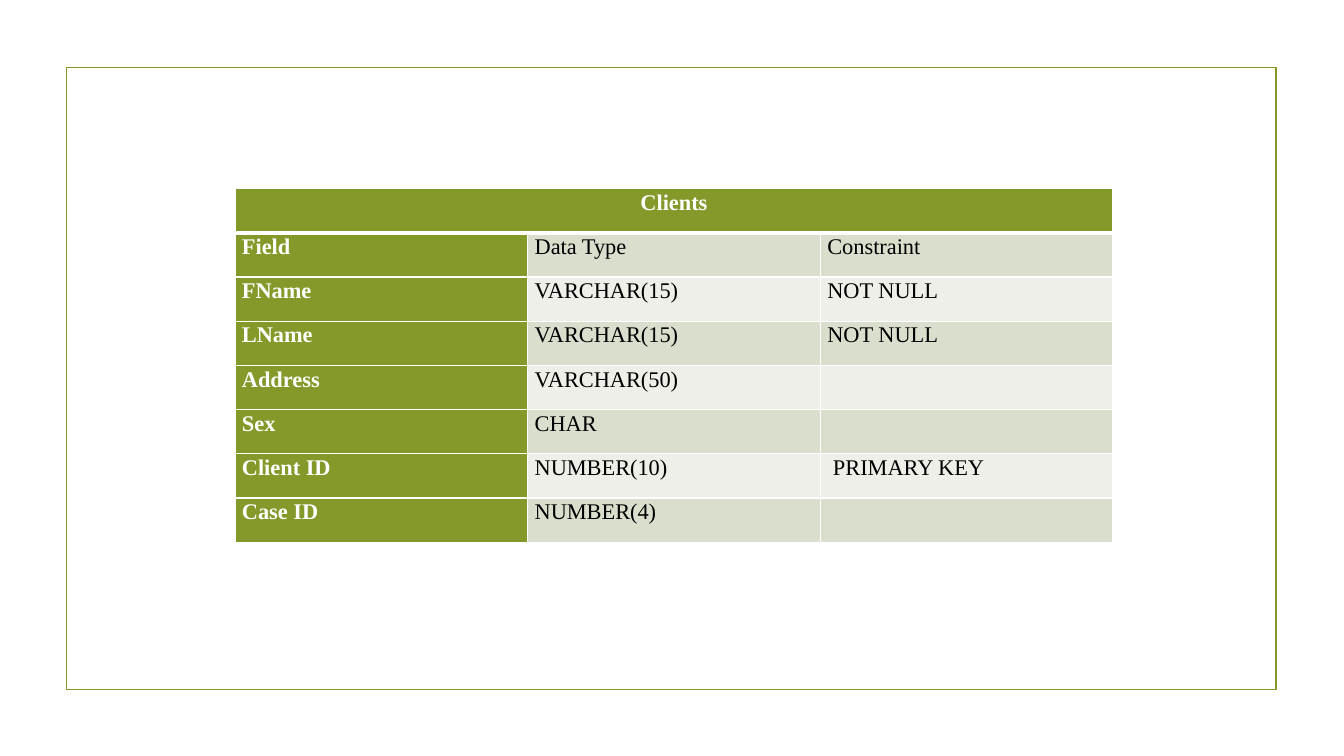
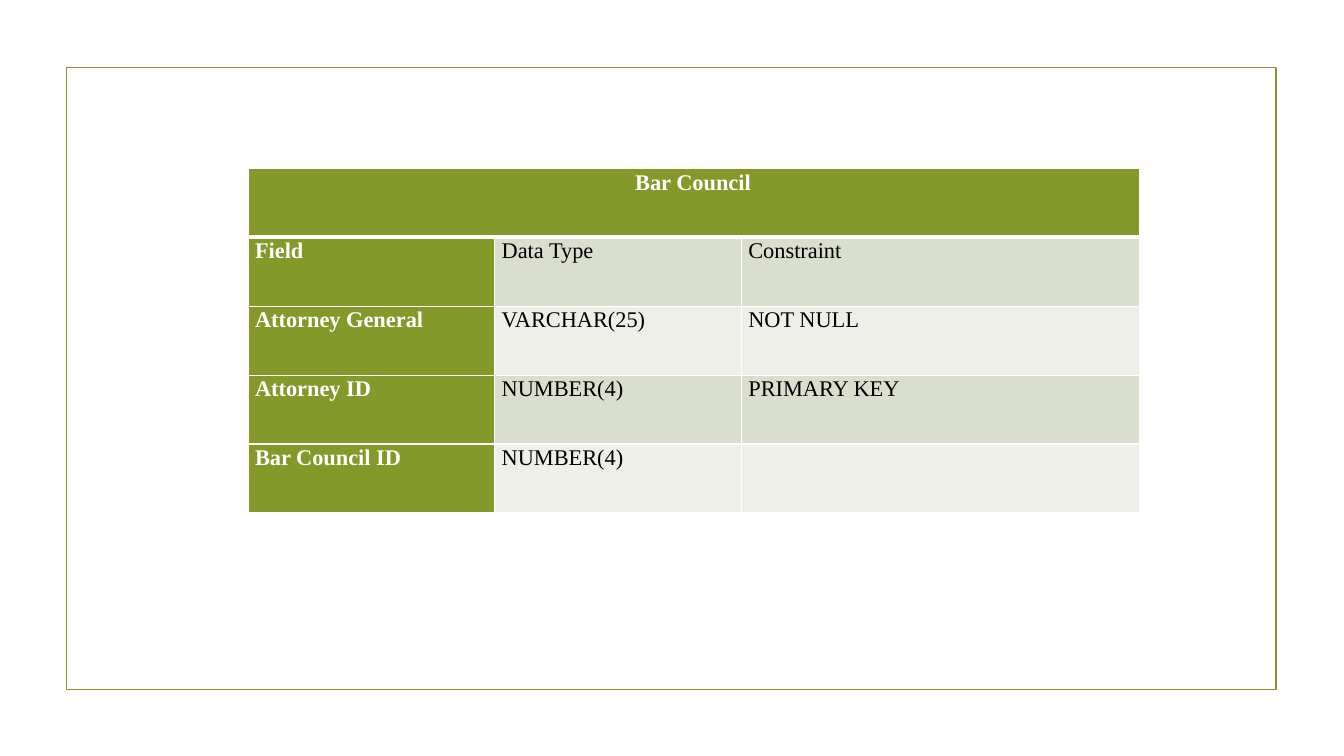
from lxml.etree import SubElement
from pptx import Presentation
from pptx.dml.color import RGBColor
from pptx.enum.shapes import MSO_SHAPE as Shape
from pptx.enum.text import PP_ALIGN as Align
from pptx.oxml.ns import qn
from pptx.util import Inches, Pt

FONT = "Times New Roman"
GREEN, WHITE, BLACK = "83992A", "FFFFFF", "000000"
BANDS = ["EDEFE8", "D9DECD"]
PAD = 0.07
HEAD = ("Field", "Data Type", "Constraint")

CLIENTS = [
    HEAD,
    ("FName", "VARCHAR(15)", "NOT NULL"),
    ("LName", "VARCHAR(15)", "NOT NULL"),
    ("Address", "VARCHAR(50)", ""),
    ("Sex", "CHAR", ""),
    ("Client ID", "NUMBER(10)", " PRIMARY KEY"),
    ("Case ID", "NUMBER(4)", ""),
]
COUNCIL = [
    HEAD,
    ("Attorney General", "VARCHAR(25)", "NOT NULL"),
    ("Attorney ID", "NUMBER(4)", "PRIMARY KEY"),
    ("Bar Council ID", "NUMBER(4)", ""),
]


def color(code):
    return RGBColor.from_string(code)


def add_page(deck):
    """Add a blank slide with the green frame."""
    page = deck.slides.add_slide(deck.slide_layouts[6])
    frame = page.shapes.add_shape(
        Shape.RECTANGLE, Inches(0.66), Inches(0.67), Inches(12), Inches(6.17))
    frame.shadow.inherit = False
    frame.fill.background()
    frame.line.color.rgb = color(GREEN)
    frame.line.width = Pt(1.25)
    return page


def set_borders(cell, top, bottom):
    props = cell._tc.get_or_add_tcPr()
    for side, width in zip("LRTB", (1, 1, top, bottom)):
        line = SubElement(props, qn(f"a:ln{side}"), w=str(Pt(width)))
        fill = SubElement(line, qn("a:solidFill"))
        SubElement(fill, qn("a:srgbClr"), val=WHITE)


def fill_cell(cell, text, row, col):
    strong = row == 0 or col == 0
    set_borders(cell, 3 if row == 1 else 1, 3 if row == 0 else 1)
    cell.fill.solid()
    cell.fill.fore_color.rgb = color(GREEN if strong else BANDS[row % 2])
    cell.margin_left = cell.margin_right = Inches(PAD)
    cell.margin_top = cell.margin_bottom = 0
    cell.text = text
    para = cell.text_frame.paragraphs[0]
    para.line_spacing = 1.07
    para.space_after = Pt(8)
    font = para.font
    font.name, font.size, font.bold = FONT, Pt(16), strong
    font.color.rgb = color(WHITE if strong else BLACK)


def add_schema(page, title, rows, left, top, width, height):
    """Add a field table under a merged title row; return the title cell."""
    rows = [(title, "", ""), *rows]
    table = page.shapes.add_table(
        len(rows), len(HEAD), Inches(left), Inches(top),
        Inches(width), Inches(height)).table
    table.horz_banding = False
    for r, row in enumerate(rows):
        for c, text in enumerate(row):
            fill_cell(table.cell(r, c), text, r, c)
    head = table.cell(0, 0)
    head.merge(table.cell(0, len(HEAD) - 1))
    return head


def main():
    deck = Presentation()
    deck.slide_width, deck.slide_height = Inches(13.33), Inches(7.5)

    head = add_schema(add_page(deck), "Clients", CLIENTS,
                      2.33, 1.87, 8.71, 3.51)
    head.text_frame.paragraphs[0].alignment = Align.CENTER

    head = add_schema(add_page(deck), "Bar Council", COUNCIL,
                      2.46, 1.67, 7.34, 3.42)
    head.margin_left = Inches(3.84)

    deck.save("out.pptx")


if __name__ == "__main__":
    main()
